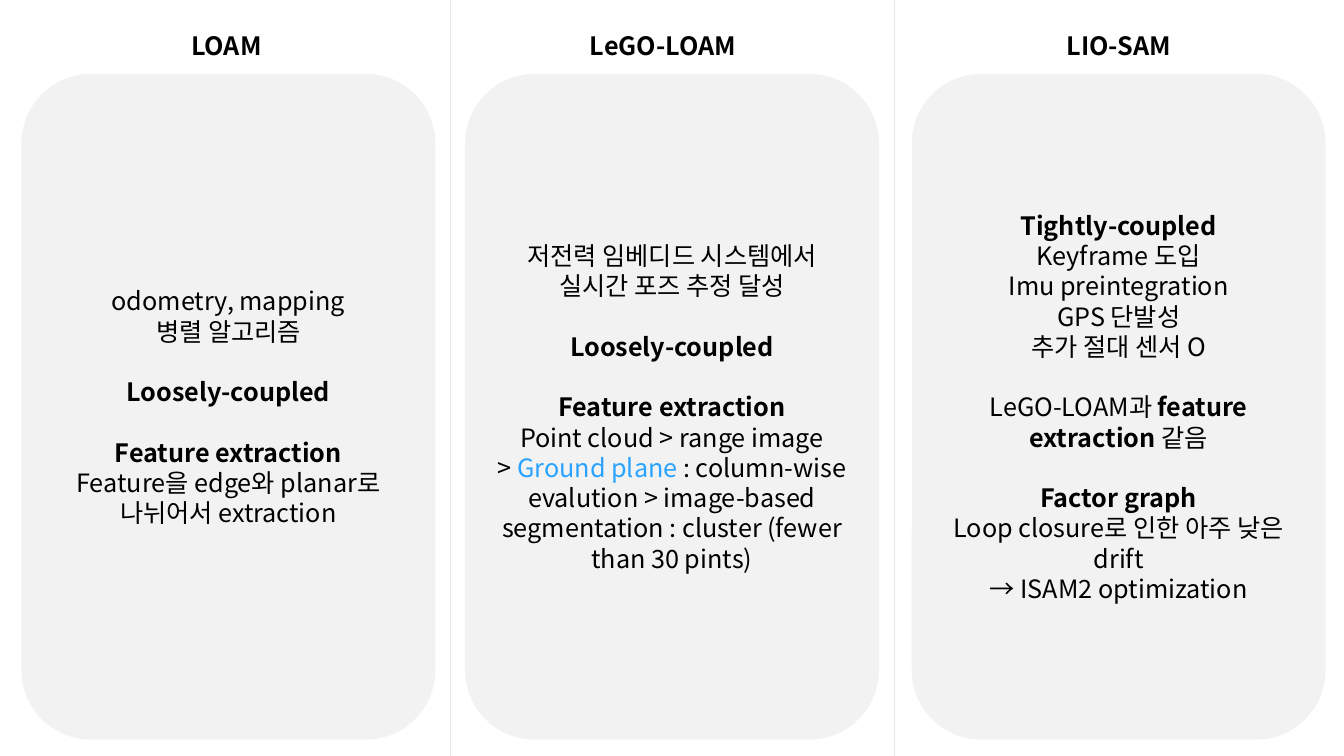
from dataclasses import dataclass

from lxml.etree import SubElement
from pptx import Presentation
from pptx.dml.color import RGBColor
from pptx.enum.shapes import MSO_CONNECTOR as Connector, MSO_SHAPE as Shape
from pptx.enum.text import MSO_ANCHOR as Anchor, PP_ALIGN as Align
from pptx.oxml.ns import qn
from pptx.util import Inches, Pt


@dataclass(frozen=True)
class Theme:
    font: str = "Noto Sans CJK KR"
    size: float = 18
    section_gap: float = 21.6
    text: str = "000000"
    accent: str = "29A3FF"
    panel: str = "F2F2F2"
    divider: str = "E7E6E6"


@dataclass(frozen=True)
class Span:
    text: str
    bold: bool = False
    accent: bool = False


def strong(text):
    return Span(text, bold=True)


# Each method has sections, each section has lines, each line has spans.
METHODS = [
    ("LOAM", 0.37, 0.22, [
        [[Span("odometry, mapping")], [Span("병렬 알고리즘")]],
        [[strong("Loosely-coupled")]],
        [[strong("Feature extraction")],
         [Span("Feature을 edge와 planar로 나뉘어서 extraction")]],
    ]),
    ("LeGO-LOAM", 4.7, 4.62, [
        [[Span("저전력 임베디드 시스템에서 실시간 포즈 추정 달성")]],
        [[strong("Loosely-coupled")]],
        [[strong("Feature extraction")],
         [Span("Point cloud > range image")],
         [Span("> "), Span("Ground plane ", accent=True),
          Span(": column-wise evalution > image-based segmentation : "
               "cluster (fewer than 30 pints)")]],
    ]),
    ("LIO-SAM", 9.22, 9.05, [
        [[strong("Tightly-coupled")], [Span("Keyframe 도입")],
         [Span("Imu preintegration")], [Span("GPS 단발성")],
         [Span("추가 절대 센서 O")]],
        [[Span("LeGO-LOAM과 "), strong("feature extraction "), Span("같음")]],
        [[strong("Factor graph")],
         [Span("Loop closure로 인한 아주 낮은 drift")],
         [Span("→ ISAM2 optimization")]],
    ]),
]


class ComparisonSlide:
    def __init__(self, slide, theme):
        self.shapes = slide.shapes
        self.theme = theme

    def divider(self, x):
        line = self.shapes.add_connector(
            Connector.STRAIGHT, Inches(x), 0, Inches(x), Inches(7.5))
        line.line.color.rgb = RGBColor.from_string(self.theme.divider)
        line.line.width = Pt(0.5)
        SubElement(line._element.spPr, qn("a:effectLst"))

    def heading(self, x, title):
        box = self.shapes.add_textbox(
            Inches(x), Inches(0.25), Inches(3.75), Inches(0.4))
        self.fill_text(box.text_frame, [[[strong(title)]]])

    def panel(self, x, sections):
        panel = self.shapes.add_shape(
            Shape.ROUNDED_RECTANGLE,
            Inches(x), Inches(0.74), Inches(4.09), Inches(6.59))
        panel.shadow.inherit = False
        color = RGBColor.from_string(self.theme.panel)
        panel.fill.solid()
        panel.fill.fore_color.rgb = color
        panel.line.color.rgb = color
        panel.line.width = Pt(1)
        panel.text_frame.vertical_anchor = Anchor.MIDDLE
        self.fill_text(panel.text_frame, sections)

    def fill_text(self, frame, sections):
        """Fill the frame, leaving one line of space between sections."""
        frame.word_wrap = True
        paragraph = frame.paragraphs[0]
        for section_index, section in enumerate(sections):
            for line_index, spans in enumerate(section):
                if section_index or line_index:
                    paragraph = frame.add_paragraph()
                if section_index and not line_index:
                    paragraph.space_before = Pt(self.theme.section_gap)
                paragraph.alignment = Align.CENTER
                for span in spans:
                    self.add_span(paragraph, span)

    def add_span(self, paragraph, span):
        run = paragraph.add_run()
        run.text = span.text
        font = run.font
        font.name = self.theme.font
        font.size = Pt(self.theme.size)
        font.bold = span.bold
        color = self.theme.accent if span.accent else self.theme.text
        font.color.rgb = RGBColor.from_string(color)
        # Hangul takes its typeface from the East Asian font setting.
        SubElement(run._r.get_or_add_rPr(), qn("a:ea"), typeface=self.theme.font)


def main():
    presentation = Presentation()
    presentation.slide_width = Inches(13.33)
    presentation.slide_height = Inches(7.5)
    slide = presentation.slides.add_slide(presentation.slide_layouts[6])
    comparison = ComparisonSlide(slide, Theme())

    for x in (4.47, 8.87):
        comparison.divider(x)
    for title, heading_x, panel_x, sections in METHODS:
        comparison.heading(heading_x, title)
        comparison.panel(panel_x, sections)

    presentation.save("out.pptx")


if __name__ == "__main__":
    main()
